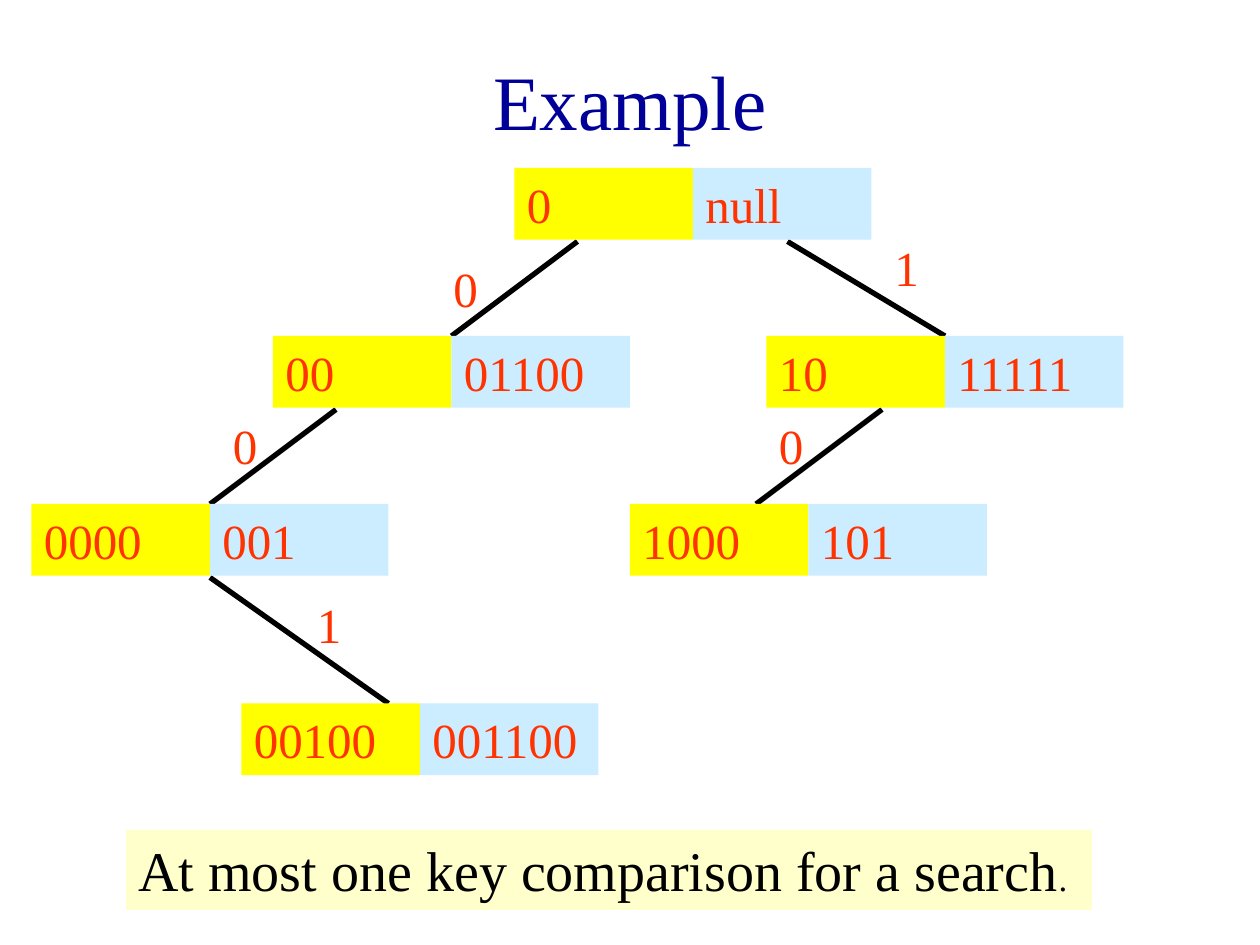
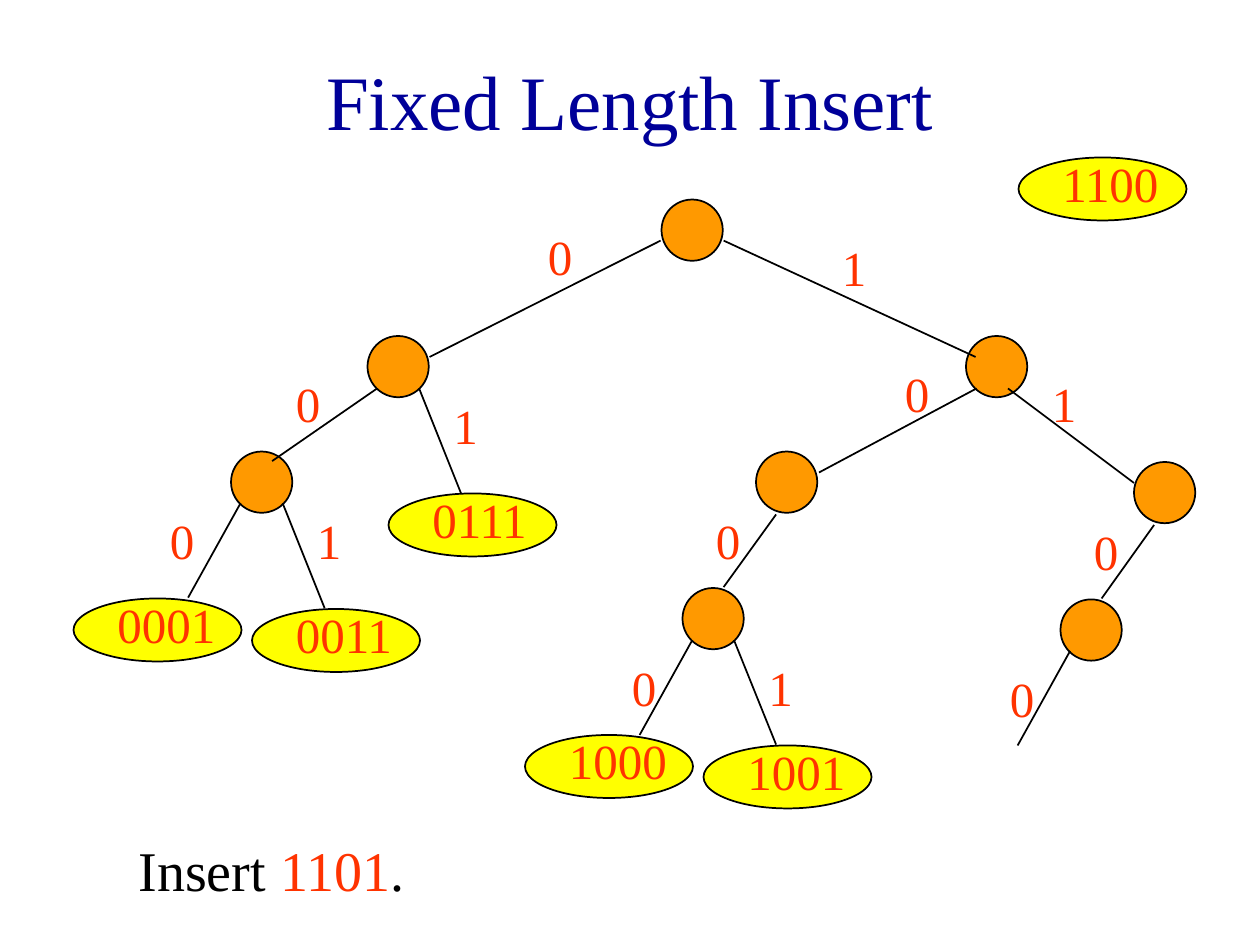
"""Build two slides on binary tries: a compact example tree and an insertion."""
from dataclasses import dataclass

from lxml import etree
from pptx import Presentation
from pptx.dml.color import RGBColor
from pptx.enum.shapes import MSO_CONNECTOR, MSO_SHAPE
from pptx.enum.text import MSO_ANCHOR, MSO_AUTO_SIZE, PP_ALIGN
from pptx.oxml.ns import qn
from pptx.util import Pt

RECTANGLE, OVAL = MSO_SHAPE.RECTANGLE, MSO_SHAPE.OVAL
STRAIGHT = MSO_CONNECTOR.STRAIGHT
TOP, MIDDLE = MSO_ANCHOR.TOP, MSO_ANCHOR.MIDDLE
LEFT, CENTER = PP_ALIGN.LEFT, PP_ALIGN.CENTER
FIT_SHAPE, FIXED_SIZE = MSO_AUTO_SIZE.SHAPE_TO_FIT_TEXT, MSO_AUTO_SIZE.NONE


@dataclass(frozen=True)
class Theme:
    """Colours, typeface and type sizes shared by the slides."""
    font: str = "Times New Roman"
    title: str = "000099"
    ink: str = "000000"
    code: str = "FF3300"
    key: str = "FFFF00"
    value: str = "CCECFF"
    branch: str = "FF9900"
    note: str = "FFFFCC"
    paper: str = "FFFFFF"
    title_size: int = 44
    caption_size: int = 32
    code_size: int = 28
    stop_size: int = 20


THEME = Theme()
FRAME = {
    "word_wrap": True, "vertical_anchor": TOP, "auto_size": FIT_SHAPE,
    "margin_left": Pt(7.2), "margin_right": Pt(7.2),
    "margin_top": Pt(3.6), "margin_bottom": Pt(3.6),
}
CELL_WIDTH, TEXT_HEIGHT = 102, 41
BIT_WIDTH = 36
BRANCH_SIZE = 35
LEAF_WIDTH, LEAF_HEIGHT = 96, 36

CELL_PAIRS = [
    (294, 96, "0", "null"),
    (156, 192, "00", "01100"),
    (438, 192, "10", "11111"),
    (18, 288, "0000", "001"),
    (360, 288, "1000", "101"),
    (138, 402, "00100", "001100"),
]
CELL_EDGES = [
    ((330, 138), (258, 192), "0", (252, 144)),
    ((450, 138), (540, 192), "1", (504, 132)),
    ((192, 234), (120, 288), "0", (126, 234)),
    ((504, 234), (432, 288), "0", (438, 234)),
    ((120, 330), (222, 402), "1", (174, 336)),
]
BRANCHES = [
    (378, 114), (210, 192), (552, 192), (132, 258),
    (432, 258), (648, 264), (390, 336), (606, 342.5),
]
BRANCH_EDGES = [
    ((377.5, 137.5), (245.5, 204), "0", (306, 126)),
    ((413.5, 137.5), (557.5, 204), "1", (474, 132)),
    ((215.5, 222), (155.5, 263.5), "0", (162, 210)),
    ((239.5, 222), (263.5, 282), "1", (252, 222.5)),
    ((558, 222), (468, 270), "0", (510, 204)),
    ((576, 222), (648, 276), "1", (594, 210)),
    ((137.5, 287.5), (107.5, 341.5), "0", (90, 288)),
    ((161.5, 287.5), (185.5, 347.5), "1", (174, 288)),
    ((443.5, 294), (413.5, 335.5), "0", (402, 288)),
    ((659.5, 300), (629.5, 342), "0", (618, 294.5)),
    ((395.5, 366), (365.5, 420), "0", (354, 372)),
    ((419.5, 366), (443.5, 425.5), "1", (432, 372)),
    ((611.5, 372), (581.5, 426), "0", (570, 378.5)),
]
LEAVES = [
    (582, 90, "1100"), (222, 282, "0111"), (42, 342, "0001"),
    (144, 348, "0011"), (300, 420, "1000"), (402, 426, "1001"),
]


def apply_format(target, values):
    """Set every attribute in a dict of format values."""
    for name, value in values.items():
        setattr(target, name, value)


def write_text(box, spans, align=LEFT, **frame_values):
    """Fill a box with one paragraph of (text, size, colour) spans."""
    frame = box.text_frame
    apply_format(frame, {**FRAME, **frame_values})
    para = frame.paragraphs[0]
    apply_format(para, {"alignment": align, "space_before": Pt(0)})
    for text, size, colour in spans:
        span = para.add_run()
        span.text = text
        apply_format(span.font, {"name": THEME.font, "size": Pt(size)})
        span.font.color.rgb = RGBColor.from_string(colour)


def add_slide(deck, title):
    """Add a slide with a centred title."""
    page = deck.slides.add_slide(deck.slide_layouts[5])
    page.background.fill.solid()
    page.background.fill.fore_color.rgb = RGBColor.from_string(THEME.paper)
    box = page.shapes.title
    apply_format(box, {"left": Pt(54), "top": Pt(12),
                       "width": Pt(612), "height": Pt(90)})
    write_text(box, [(title, THEME.title_size, THEME.title)], CENTER,
               vertical_anchor=MIDDLE, auto_size=FIXED_SIZE)
    return page


def add_block(page, kind, left, top, width, height, fill, outline=0):
    """Add a filled shape, outlined only when a line width is given."""
    box = page.shapes.add_shape(kind, Pt(left), Pt(top), Pt(width), Pt(height))
    box.shadow.inherit = False
    box.fill.solid()
    box.fill.fore_color.rgb = RGBColor.from_string(fill)
    if outline:
        box.line.color.rgb = RGBColor.from_string(THEME.ink)
        box.line.width = Pt(outline)
    else:
        box.line.fill.background()
    return box


def add_code(page, left, top, width, text):
    """Add bare bits as a text box."""
    box = page.shapes.add_textbox(Pt(left), Pt(top), Pt(width), Pt(TEXT_HEIGHT))
    write_text(box, [(text, THEME.code_size, THEME.code)])


def add_cell_pair(page, left, top, *texts):
    """Add a tree node made of a key cell and a value cell."""
    for column, (text, fill) in enumerate(zip(texts, (THEME.key, THEME.value))):
        cell = add_block(page, RECTANGLE, left + column * CELL_WIDTH, top,
                         CELL_WIDTH, TEXT_HEIGHT, fill)
        write_text(cell, [(text, THEME.code_size, THEME.code)])


def add_leaf(page, left, top, text):
    """Add an oval leaf with its key."""
    add_block(page, OVAL, left, top, LEAF_WIDTH, LEAF_HEIGHT, THEME.key, 1)
    add_code(page, left + 18, top - 6, 84, text)


def add_edge(page, start, end, bit, bit_place, weight):
    """Add a tree edge and the bit that labels it."""
    edge = page.shapes.add_connector(STRAIGHT, *map(Pt, start + end))
    edge.line.color.rgb = RGBColor.from_string(THEME.ink)
    edge.line.width = Pt(weight)
    etree.SubElement(edge.element.spPr, qn("a:effectLst"))
    add_code(page, *bit_place, BIT_WIDTH, bit)


def add_caption(page, width, fill, spans):
    """Add the statement at the foot of a slide."""
    box = add_block(page, RECTANGLE, 72, 474, width, 46, fill)
    write_text(box, spans)


def build_example(deck):
    """Build the tree whose nodes are key and value cells."""
    page = add_slide(deck, "Example")
    add_caption(page, 552, THEME.note, [
        ("At most one key comparison for a search", THEME.caption_size, THEME.ink),
        (".", THEME.stop_size, THEME.ink),
    ])
    for edge in CELL_EDGES:
        add_edge(page, *edge, weight=3)
    for pair in CELL_PAIRS:
        add_cell_pair(page, *pair)


def build_insert(deck):
    """Build the tree of branch nodes and key leaves."""
    page = add_slide(deck, "Fixed Length Insert")
    add_caption(page, 234, THEME.paper, [
        ("Insert ", THEME.caption_size, THEME.ink),
        ("1101", THEME.caption_size, THEME.code),
        (".", THEME.caption_size, THEME.ink),
    ])
    for left, top in BRANCHES:
        add_block(page, OVAL, left, top, BRANCH_SIZE, BRANCH_SIZE, THEME.branch, 1)
    for edge in BRANCH_EDGES:
        add_edge(page, *edge, weight=1)
    for leaf in LEAVES:
        add_leaf(page, *leaf)


def main():
    """Build and save the deck."""
    deck = Presentation()
    apply_format(deck, {"slide_width": Pt(720), "slide_height": Pt(540)})
    build_example(deck)
    build_insert(deck)
    deck.save("out.pptx")


if __name__ == "__main__":
    main()
